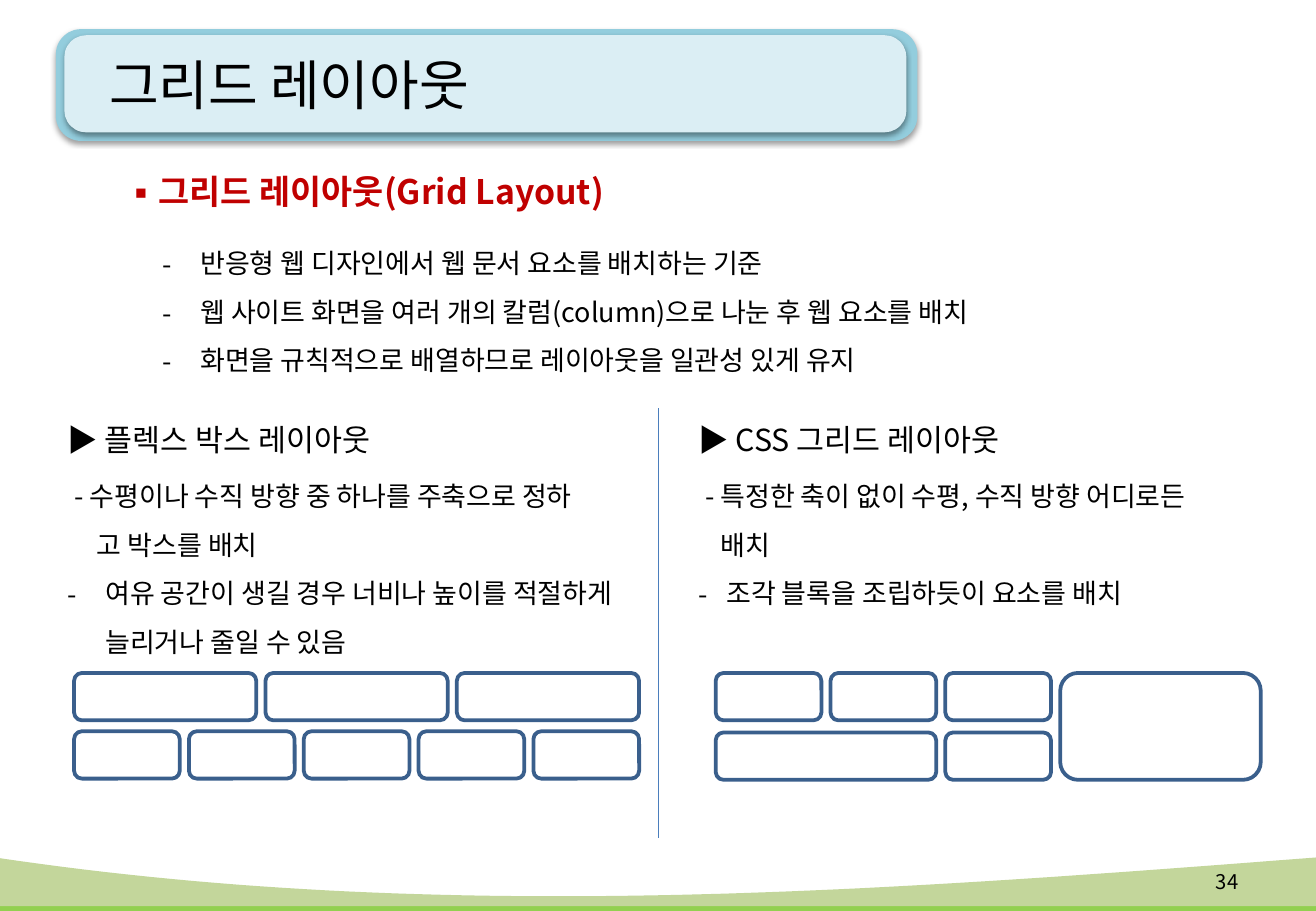
"""Build the grid layout slide comparing flexbox and CSS grid."""
from lxml import etree
from pptx import Presentation
from pptx.dml.color import RGBColor
from pptx.enum.shapes import MSO_CONNECTOR, MSO_SHAPE
from pptx.enum.text import MSO_ANCHOR, PP_ALIGN
from pptx.oxml.ns import qn
from pptx.util import Pt

PX = 4572
FONT = "Noto Sans CJK KR"
ROUNDED = MSO_SHAPE.ROUNDED_RECTANGLE
STRAIGHT = MSO_CONNECTOR.STRAIGHT
TOP, MIDDLE = MSO_ANCHOR.TOP, MSO_ANCHOR.MIDDLE
LEFT, RIGHT = PP_ALIGN.LEFT, PP_ALIGN.RIGHT
color = RGBColor.from_string

presentation = Presentation()
presentation.slide_width = 2166 * PX
presentation.slide_height = 1500 * PX
slide = presentation.slides.add_slide(presentation.slide_layouts[6])
shapes = slide.shapes


def add_text(box, lines, text_color="000000", bold=False, spacing=1.0, anchor=TOP, align=LEFT):
    """Add a text box; each line is text, size, margin, indent, bullet, space before."""
    frame = shapes.add_textbox(*(value * PX for value in box)).text_frame
    frame.word_wrap = True
    frame.vertical_anchor = anchor
    for index, (text, size, margin, indent, bullet, before) in enumerate(lines):
        paragraph = frame.paragraphs[0] if index == 0 else frame.add_paragraph()
        paragraph.alignment = align
        paragraph.line_spacing = spacing
        if before:
            paragraph.space_before = Pt(before)
        properties = paragraph._p.get_or_add_pPr()
        properties.set("marL", str(margin * PX))
        properties.set("indent", str(indent * PX))
        if bullet:
            etree.SubElement(properties, qn("a:buFont"), typeface=FONT)
            etree.SubElement(properties, qn("a:buChar"), char=bullet)
        run = paragraph.add_run()
        run.text = text
        run.font.size = Pt(size)
        run.font.bold = bold
        run.font.name = FONT
        run.font.color.rgb = color(text_color)
        etree.SubElement(run._r.get_or_add_rPr(), qn("a:ea"), typeface=FONT)


def add_rounded(left, top, width, height):
    """Add a rounded outline box."""
    shape = shapes.add_shape(ROUNDED, left * PX, top * PX, width * PX, height * PX)
    shape.shadow.inherit = False
    shape.fill.background()
    shape.line.color.rgb = color("3A5F8C")
    shape.line.width = Pt(2.25)
    return shape


waves = [
    ("92D050", [(-8, 1448), (728, 1520), (1438, 1486), (2166, 1448)], 1500),
    ("C3D69B", [(-8, 1412), (728, 1522), (1438, 1468), (2166, 1412)], 1492),
]
STEPS = 60
for fill, controls, bottom in waves:
    curve = []
    for step in range(STEPS + 1):
        t = step / STEPS
        weights = ((1 - t) ** 3, 3 * t * (1 - t) ** 2, 3 * t * t * (1 - t), t ** 3)
        curve.append(tuple(
            PX * sum(weight * point[axis] for weight, point in zip(weights, controls))
            for axis in (0, 1)
        ))
    builder = shapes.build_freeform(*curve[0])
    corners = [(2166 * PX, bottom * PX), (-8 * PX, bottom * PX)]
    builder.add_line_segments(curve[1:] + corners, close=True)
    wave = builder.convert_to_shape()
    wave.shadow.inherit = False
    wave.fill.solid()
    wave.fill.fore_color.rgb = color(fill)
    wave.line.fill.background()

for fill, box in [("93CDDD", (92, 48, 1418, 184)), ("DBEEF4", (106, 58, 1386, 160))]:
    banner = add_rounded(*box)
    banner.adjustments[0] = 0.225
    banner.fill.solid()
    banner.fill.fore_color.rgb = color(fill)
    banner.line.fill.background()
    effects = banner._element.spPr.find(qn("a:effectLst"))
    shadow = etree.SubElement(
        effects, qn("a:outerShdw"), blurRad="40000", dist="20000", dir="5400000", rotWithShape="0"
    )
    black = etree.SubElement(shadow, qn("a:srgbClr"), val="000000")
    etree.SubElement(black, qn("a:alpha"), val="38000")

add_text((160, 44, 1334, 188), [("그리드 레이아웃", 32, 0, 0, None, 0)], anchor=MIDDLE)
add_text((1936, 1412, 122, 80), [("34", 12, 0, 0, None, 0)], anchor=MIDDLE, align=RIGHT)
add_text(
    (186, 272, 1370, 100),
    [("그리드 레이아웃(Grid Layout)", 20, 50, -50, "▪", 0)],
    text_color="C00000",
    bold=True,
)
definitions = [
    "반응형 웹 디자인에서 웹 문서 요소를 배치하는 기준",
    "웹 사이트 화면을 여러 개의 칼럼(column)으로 나눈 후 웹 요소를 배치",
    "화면을 규칙적으로 배열하므로 레이아웃을 일관성 있게 유지",
]
add_text(
    (248, 370, 1764, 272), [(text, 16, 62, -62, "-", 0) for text in definitions], spacing=1.5
)

flexbox = [
    ("▶ 플렉스 박스 레이아웃", 18, 0, 0, None, 0),
    ("- 수평이나 수직 방향 중 하나를 주축으로 정하", 16, 11, 0, None, 3.5),
    ("고 박스를 배치", 16, 48, 0, None, 0),
    ("여유 공간이 생길 경우 너비나 높이를 적절하게 늘리거나 줄일 수 있음", 16, 62, -62, "-", 0),
]
css_grid = [
    ("▶ CSS 그리드 레이아웃", 18, 0, 0, None, 0),
    ("- 특정한 축이 없이 수평, 수직 방향 어디로든", 16, 11, 0, None, 3.5),
    ("배치", 16, 37, 0, None, 0),
    ("조각 블록을 조립하듯이 요소를 배치", 16, 46, -46, "-", 0),
]
for left, lines in [(92, flexbox), (1130, css_grid)]:
    add_text((left, 654, 992, 444), lines, spacing=1.5)

divider = shapes.add_connector(STRAIGHT, 1084 * PX, 672 * PX, 1084 * PX, 1380 * PX)
divider.line.color.rgb = color("4B7EBC")
divider.line.width = Pt(0.75)
etree.SubElement(divider._element.spPr, qn("a:effectLst"))

GAP, CELL, HEIGHT = 15, 174, 78
for count, top in [(3, 1108), (5, 1204)]:
    width = (930 - GAP * (count - 1)) // count
    for column in range(count):
        add_rounded(122 + column * (width + GAP), top, width, HEIGHT)

for column, span, top in [(0, 1, 1108), (1, 1, 1108), (2, 1, 1108), (0, 2, 1206), (2, 1, 1206)]:
    width = span * (CELL + GAP) - GAP
    add_rounded(1178 + column * (CELL + GAP), top, width, HEIGHT)
add_rounded(1745, 1108, 330, 176)

presentation.save("out.pptx")
